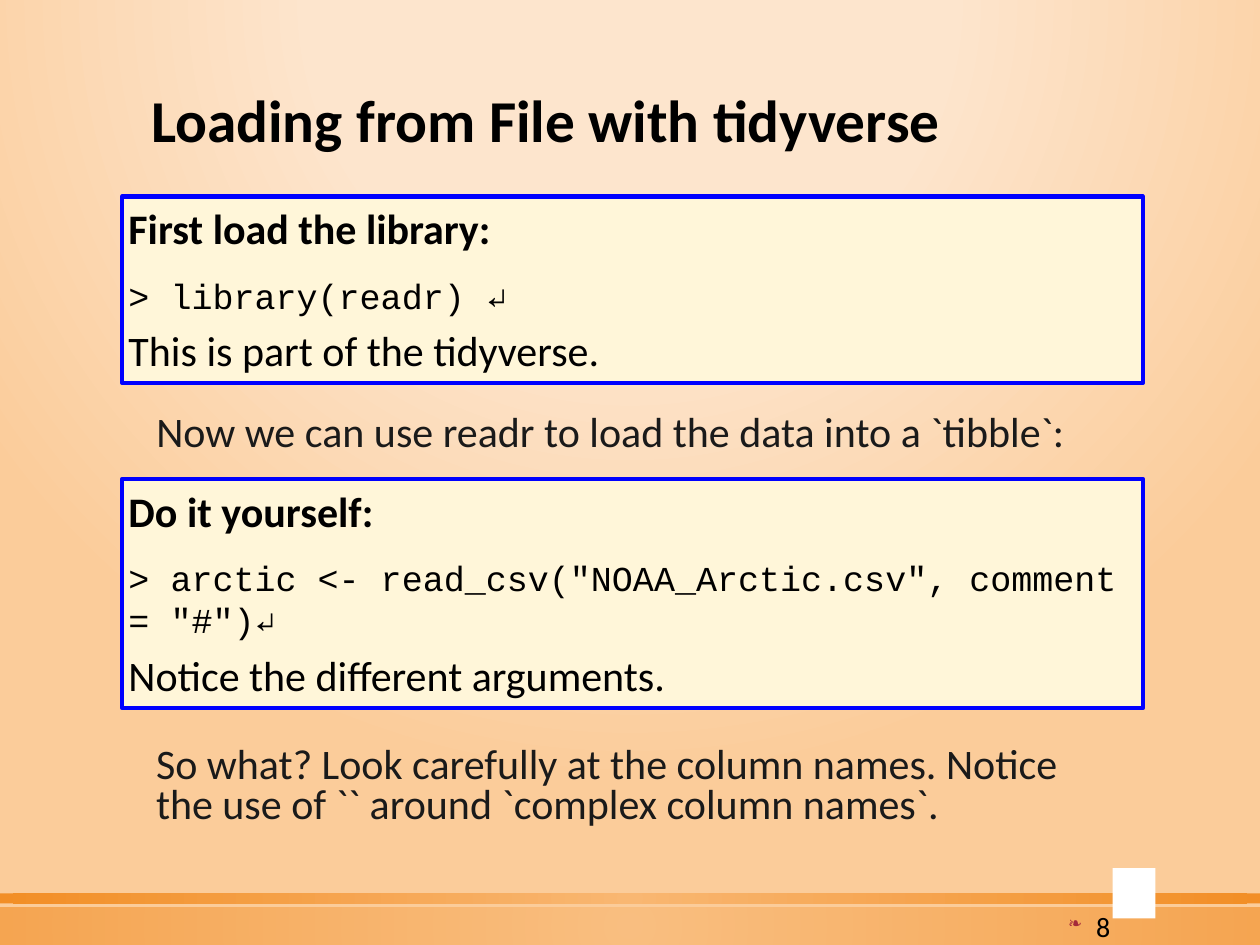
from dataclasses import dataclass

from lxml.etree import SubElement
from pptx import Presentation
from pptx.dml.color import RGBColor
from pptx.enum.shapes import MSO_SHAPE as Shape
from pptx.enum.text import MSO_ANCHOR as Anchor
from pptx.enum.text import MSO_AUTO_SIZE as AutoSize
from pptx.enum.text import PP_ALIGN as Align
from pptx.oxml.ns import qn
from pptx.util import Inches, Pt


@dataclass(frozen=True)
class Theme:
    text_font: str = "Calibri"
    code_font: str = "Courier New"
    title_size: float = 33.9
    text_size: float = 24
    code_size: float = 20
    number_size: float = 16
    ink: str = "000000"
    soft_ink: str = "1A1A1A"
    panel: str = "FFF6D9"
    border: str = "0000FF"
    tab: str = "FFFFFF"
    bullet: str = "A52A3A"
    backdrop: tuple = ((0, "FDE5CD", 100), (40, "FDE5CD", 100), (100, "FBCC9A", 100))
    broad_band: tuple = ((0, "F9B268", 50), (100, "F07F09", 50))
    thin_band: tuple = ((0, "F9B268", 80), (100, "F07F09", 80))


THEME = Theme()


def paint_radial(properties, stops, top, bottom):
    solid = properties.find(qn("a:solidFill"))
    gradient = properties.makeelement(qn("a:gradFill"), {"rotWithShape": "1"})
    properties.replace(solid, gradient)
    stop_list = SubElement(gradient, qn("a:gsLst"))
    for position, color, opacity in stops:
        stop = SubElement(stop_list, qn("a:gs"), pos=str(position * 1000))
        tint = SubElement(stop, qn("a:srgbClr"), val=color)
        if opacity < 100:
            SubElement(tint, qn("a:alpha"), val=str(opacity * 1000))
    circle = SubElement(gradient, qn("a:path"), {"path": "circle"})
    SubElement(circle, qn("a:fillToRect"), l="50000", t=str(top * 1000),
               r="50000", b=str(bottom * 1000))


def add_span(para, text, size, color=THEME.ink, font=THEME.text_font, bold=False):
    span = para.add_run()
    span.text = text
    span.font.name = font
    span.font.size = Pt(size)
    span.font.bold = bold
    span.font.color.rgb = RGBColor.from_string(color)


def add_block(page, box, color):
    block = page.shapes.add_shape(Shape.RECTANGLE, *map(Inches, box))
    block.shadow.inherit = False
    block.fill.solid()
    block.fill.fore_color.rgb = RGBColor.from_string(color)
    block.line.fill.background()
    return block


def add_backdrop(page):
    page.background.fill.solid()
    properties = page.element.find(".//" + qn("p:bgPr"))
    paint_radial(properties, THEME.backdrop, -80, 180)


def add_band(page, box, stops):
    band = add_block(page, box, stops[0][1])
    paint_radial(band.element.spPr, stops, 50, 50)


def fill_title(title, box, text):
    title.left, title.top, title.width, title.height = map(Inches, box)
    frame = title.text_frame
    frame.auto_size = AutoSize.NONE
    frame.vertical_anchor = Anchor.MIDDLE
    para = frame.paragraphs[0]
    para.alignment = Align.LEFT
    para.line_spacing = 0.9
    add_span(para, text, THEME.title_size, bold=True)


def fill_remark(remark, box, text, line_spacing):
    remark.left, remark.top, remark.width, remark.height = map(Inches, box)
    frame = remark.text_frame
    frame.word_wrap = True
    frame.auto_size = AutoSize.NONE
    para = frame.paragraphs[0]
    para.line_spacing = line_spacing
    para.space_before = Pt(13.5)
    properties = para._p.get_or_add_pPr()
    properties.set("marL", str(Inches(0.04)))
    properties.set("indent", "0")
    SubElement(properties, qn("a:buNone"))
    add_span(para, text, THEME.text_size, THEME.soft_ink)


def add_exercise(page, box, heading, code, comment, heading_gap):
    panel = add_block(page, box, THEME.panel)
    panel.line.color.rgb = RGBColor.from_string(THEME.border)
    panel.line.width = Pt(2.5)
    frame = panel.text_frame
    frame.word_wrap = True
    frame.auto_size = AutoSize.SHAPE_TO_FIT_TEXT
    frame.vertical_anchor = Anchor.TOP
    frame.margin_left = frame.margin_right = Inches(0.05)
    frame.margin_top = frame.margin_bottom = Inches(0.05)
    lines = (
        (heading, THEME.text_size, THEME.text_font, True, heading_gap),
        (code, THEME.code_size, THEME.code_font, False, 12),
        (comment, THEME.text_size, THEME.text_font, False, 5),
    )
    for index, (text, size, font, bold, gap) in enumerate(lines):
        para = frame.add_paragraph() if index else frame.paragraphs[0]
        para.alignment = Align.LEFT
        para.space_before = Pt(gap)
        add_span(para, text, size, font=font, bold=bold)


def add_page_number(page, box, number):
    frame = page.shapes.add_textbox(*map(Inches, box)).text_frame
    frame.word_wrap = True
    frame.vertical_anchor = Anchor.MIDDLE
    para = frame.paragraphs[0]
    para.alignment = Align.RIGHT
    para.space_before = Pt(3)
    properties = para._p.get_or_add_pPr()
    color = SubElement(properties, qn("a:buClr"))
    SubElement(color, qn("a:srgbClr"), val=THEME.bullet)
    SubElement(properties, qn("a:buSzPct"), val="60000")
    SubElement(properties, qn("a:buChar"), char="❧")
    add_span(para, number, THEME.number_size)


def add_loading_page(deck):
    page = deck.slides.add_slide(deck.slide_layouts[1])
    title, body = page.placeholders
    add_backdrop(page)
    add_band(page, (0, 7.2, 10, 0.3), THEME.broad_band)
    add_band(page, (0, 7.09, 10, 0.08), THEME.thin_band)
    add_block(page, (8.83, 6.89, 0.34, 0.4), THEME.tab)
    fill_title(title, (1.1, 0.51, 7.8, 0.94), "Loading from File with tidyverse")
    add_page_number(page, (8.38, 7.22, 0.53, 0.26), "8")
    add_exercise(page, (0.97, 1.56, 8.1, 1.48), "First load the library:",
                 "> library(readr) ↵", "This is part of the tidyverse.", 12)
    add_exercise(page, (0.97, 3.8, 8.1, 1.82), "Do it yourself:",
                 '> arctic <- read_csv("NOAA_Arctic.csv", comment = "#")↵',
                 "Notice the different arguments.", 5)
    fill_remark(body, (1.1, 3.21, 7.8, 0.81),
                "Now we can use readr to load the data into a `tibble`:", 0.9)
    closing_box = (1.1, 5.88, 7.8, 0.81)
    closing = page.shapes.add_textbox(*map(Inches, closing_box))
    fill_remark(closing, closing_box,
                "So what? Look carefully at the column names. Notice the use of "
                "`` around `complex column names`.", 0.8)


def main():
    deck = Presentation()
    deck.slide_width, deck.slide_height = Inches(10), Inches(7.5)
    add_loading_page(deck)
    deck.save("out.pptx")


if __name__ == "__main__":
    main()
